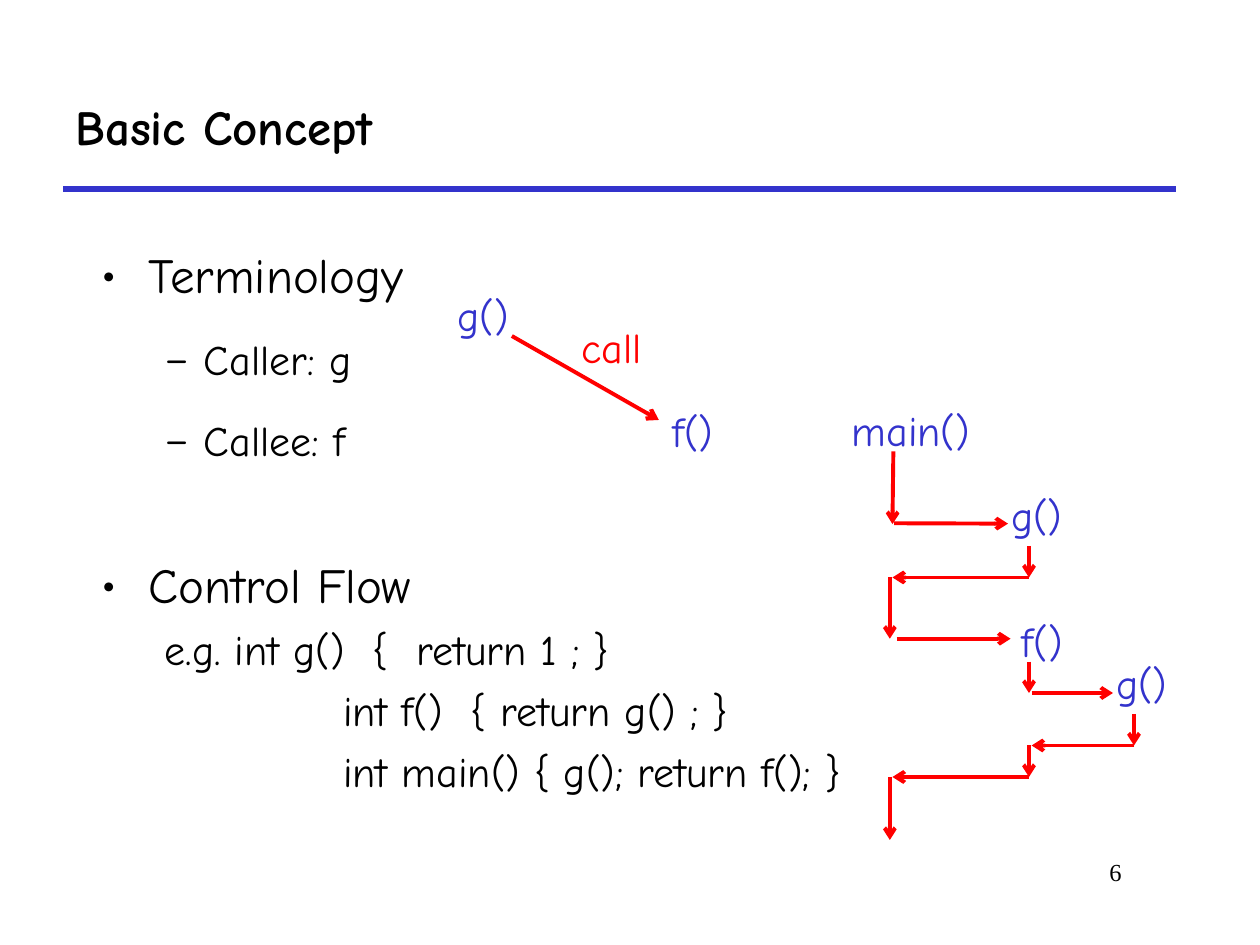
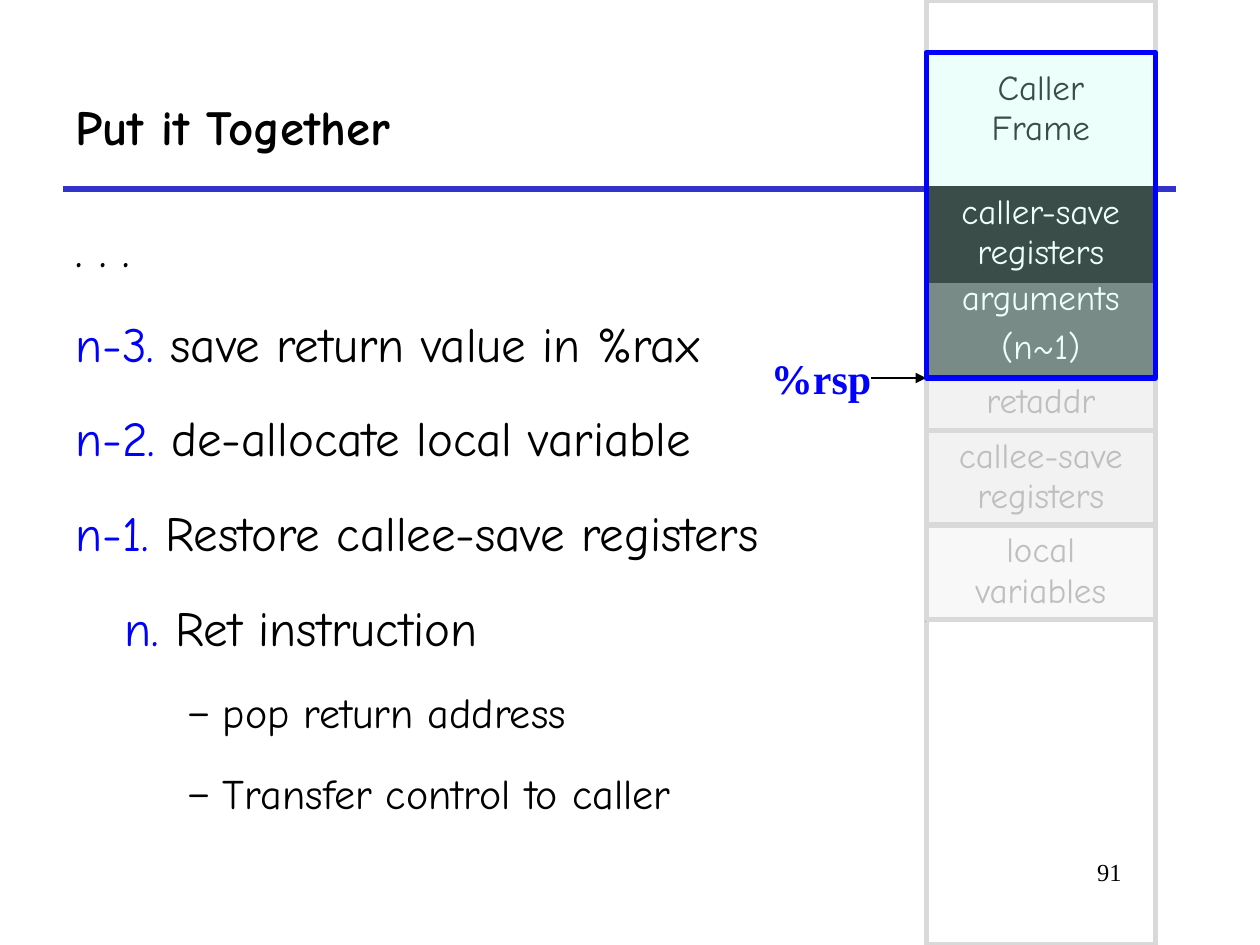
from dataclasses import dataclass
from typing import Optional

from lxml import etree
from pptx import Presentation
from pptx import slide as s
from pptx import util as u
from pptx.dml import color as c
from pptx.enum import shapes, text
from pptx.oxml import ns

COMIC, TIMES = "Comic Neue", "Times New Roman"
BLACK, WHITE, RED, BLUE, INDIGO = "000000", "FFFFFF", "FF0000", "0000FF", "3333CC"
SILVER, GRAY, PALE = "D9D9D9", "BFBFBF", "F2F2F2"
CENTER, LEFT, RIGHT = text.PP_ALIGN.CENTER, text.PP_ALIGN.LEFT, text.PP_ALIGN.RIGHT
STACK_LEFT, STACK_WIDTH = 529.25, 131


@dataclass
class Label:
    words: str
    left: float
    top: float
    width: float
    height: float = 36
    color: str = INDIGO
    size: float = 24
    font: str = COMIC
    bold: bool = False
    align: text.PP_ALIGN = CENTER
    anchor: text.MSO_ANCHOR = text.MSO_ANCHOR.TOP


@dataclass
class Item:
    words: str
    number: str = ""
    size: float = 28
    bullet: str = ""
    margin: float = 0
    indent: float = 0
    before: float = 7
    spacing: float = 1.4


@dataclass
class Arrow:
    x1: float
    y1: float
    x2: float
    y2: float
    color: str = RED
    weight: float = 2.25
    head: str = "arrow"


@dataclass
class StackCell:
    words: list[str]
    top: float
    height: float
    color: str
    fill: Optional[str] = None
    opacity: int = 100
    margin_top: float = 3.6


@dataclass
class Outline:
    top: float
    height: float
    color: str = SILVER
    fill: Optional[str] = None
    opacity: int = 100


def rgb(color: str) -> c.RGBColor:
    return c.RGBColor.from_string(color)


def add_child(parent, tag: str, **attributes: str):
    child = etree.SubElement(parent, ns.qn(tag))
    for name, value in attributes.items():
        child.set(name, value)
    return child


def set_fill(fill, properties, color: Optional[str], opacity: int) -> None:
    if color is None:
        fill.background()
        return
    fill.solid()
    fill.fore_color.rgb = rgb(color)
    if opacity < 100:
        add_child(next(properties.iter(ns.qn("a:srgbClr"))), "a:alpha", val=str(opacity * 1000))


def style_font(paragraph, size: float, color: Optional[str], font: str = COMIC,
               bold: bool = False) -> None:
    paragraph.font.size = u.Pt(size)
    paragraph.font.name = font
    paragraph.font.bold = bold
    if color:
        paragraph.font.color.rgb = rgb(color)


def add_label(slide: s.Slide, label: Label) -> None:
    box = slide.shapes.add_textbox(
        u.Pt(label.left), u.Pt(label.top), u.Pt(label.width), u.Pt(label.height))
    frame = box.text_frame
    frame.word_wrap = True
    frame.vertical_anchor = label.anchor
    paragraph = frame.paragraphs[0]
    paragraph.text = label.words
    paragraph.alignment = label.align
    style_font(paragraph, label.size, label.color, label.font, label.bold)


def add_line(slide: s.Slide, line: Arrow) -> None:
    connector = slide.shapes.add_connector(
        shapes.MSO_CONNECTOR.STRAIGHT,
        u.Pt(line.x1), u.Pt(line.y1), u.Pt(line.x2), u.Pt(line.y2))
    connector.line.color.rgb = rgb(line.color)
    connector.line.width = u.Pt(line.weight)
    properties = connector._element.spPr
    if line.head:
        add_child(properties.find(ns.qn("a:ln")), "a:tailEnd", type=line.head)
    add_child(properties, "a:effectLst")


def add_body(slide: s.Slide, left: float, top: float, width: float, height: float,
             items: list[Item]) -> None:
    box = slide.shapes.add_textbox(u.Pt(left), u.Pt(top), u.Pt(width), u.Pt(height))
    frame = box.text_frame
    frame.word_wrap = True
    for index, item in enumerate(items):
        paragraph = frame.add_paragraph() if index else frame.paragraphs[0]
        properties = paragraph._p.get_or_add_pPr()
        properties.set("marL", str(u.Pt(item.margin)))
        properties.set("indent", str(u.Pt(item.indent)))
        if item.bullet:
            add_child(add_child(properties, "a:buClr"), "a:srgbClr", val=BLACK)
            add_child(properties, "a:buFont", typeface=COMIC)
            add_child(properties, "a:buChar", char=item.bullet)
        else:
            add_child(properties, "a:buNone")
        paragraph.line_spacing = item.spacing
        if index:
            paragraph.space_before = u.Pt(item.before)
        style_font(paragraph, item.size, None if item.number else BLACK)
        for words, color in ((item.number, BLUE), (item.words, BLACK)):
            if words:
                run = paragraph.add_run()
                run.text = words
                if item.number:
                    run.font.color.rgb = rgb(color)


def add_stack_cell(slide: s.Slide, entry: StackCell) -> None:
    table = slide.shapes.add_table(
        1, 1, u.Pt(STACK_LEFT), u.Pt(entry.top), u.Pt(STACK_WIDTH), u.Pt(entry.height)).table
    table.first_row = table.horz_banding = False
    cell = table.cell(0, 0)
    cell.margin_top = u.Pt(entry.margin_top)
    properties = cell._tc.get_or_add_tcPr()
    set_fill(cell.fill, properties, entry.fill, entry.opacity)
    for position, side in enumerate(("a:lnL", "a:lnR", "a:lnT", "a:lnB")):
        border = add_child(properties, side, w=str(u.Pt(1.08)))
        if position < 2:
            add_child(add_child(border, "a:solidFill"), "a:srgbClr", val=BLACK)
        else:
            add_child(border, "a:noFill")
        properties.insert(position, border)
    frame = cell.text_frame
    for index, words in enumerate(entry.words):
        paragraph = frame.add_paragraph() if index else frame.paragraphs[0]
        paragraph.text = words
        paragraph.alignment = CENTER
        if index:
            paragraph.space_before = u.Pt(5)
        style_font(paragraph, 20, entry.color)


def add_outline(slide: s.Slide, outline: Outline) -> None:
    shape = slide.shapes.add_shape(
        shapes.MSO_SHAPE.RECTANGLE, u.Pt(STACK_LEFT), u.Pt(outline.top), u.Pt(STACK_WIDTH),
        u.Pt(outline.height))
    shape.shadow.inherit = False
    set_fill(shape.fill, shape._element.spPr, outline.fill, outline.opacity)
    shape.line.color.rgb = rgb(outline.color)
    shape.line.width = u.Pt(3)


def start_slide(presentation, title: str, number: str) -> s.Slide:
    slide = presentation.slides.add_slide(presentation.slide_layouts[6])
    add_line(slide, Arrow(36, 108, 672, 108, INDIGO, 3, ""))
    add_label(slide, Label(number, 546, 486, 102, color=BLACK, size=14, font=TIMES, align=RIGHT))
    add_label(slide, Label(title, 36, 36, 636, 72, BLACK, 28, bold=True, align=LEFT,
                           anchor=text.MSO_ANCHOR.MIDDLE))
    return slide


def dash(words: str, margin: float, indent: float) -> Item:
    return Item(words, size=24, bullet="–", margin=margin, indent=indent, before=6)


def code(words: str, margin: float, indent: float = 0) -> Item:
    return Item(words, size=24, margin=margin, indent=indent, before=6, spacing=1)


def build_concept(presentation) -> None:
    slide = start_slide(presentation, "Basic Concept", "6")
    add_body(slide, 51, 122.5, 642, 366, [
        Item("Terminology", bullet="•", margin=27, indent=-27),
        dash("Caller: g", 58.5, -22.5),
        dash("Callee: f", 58.5, -22.5),
        Item("Control Flow", bullet="•", margin=27, indent=-27, before=37.5),
        code("e.g. int g()  {  return 1 ; }", 58.5, -22.5),
        code("int f()  { return g() ; }", 138),
        code("int main() { g(); return f(); }", 138),
    ])
    for label in (
        Label("g()", 252, 162, 48),
        Label("f()", 372, 228, 48),
        Label("call", 310.5, 180, 78, color=RED),
        Label("main()", 469.5, 227.5, 102),
        Label("g()", 567, 276, 51),
        Label("f()", 570, 348, 51),
        Label("g()", 627, 372, 51),
    ):
        add_label(slide, label)
    main_x, callee_x, nested_x = 508.5, 588, 648
    for arrow in (
        Arrow(292.5, 192, 376.5, 240),
        Arrow(510.5, 258, 510, 299.5),
        Arrow(511, 299, 576, 299.25),
        Arrow(callee_x, 312, callee_x, 330),
        Arrow(callee_x, 330, 510, 330),
        Arrow(main_x, 330, main_x, 365),
        Arrow(512.5, 365, 577.5, 365),
        Arrow(callee_x, 378, callee_x, 396),
        Arrow(589.5, 396, 636, 396),
        Arrow(nested_x, 408, nested_x, 426),
        Arrow(nested_x, 426, 589.5, 426),
        Arrow(callee_x, 426, callee_x, 444),
        Arrow(callee_x, 444, 510, 444),
        Arrow(main_x, 444, main_x, 480),
    ):
        add_line(slide, arrow)


def build_together(presentation) -> None:
    slide = start_slide(presentation, "Put it Together", "91")
    add_outline(slide, Outline(0, 540))
    add_body(slide, 36, 108, 684, 402, [
        Item(". . ."),
        Item("save return value in %rax", "n-3. "),
        Item("de-allocate local variable", "n-2. "),
        Item("Restore callee-save registers", "n-1. "),
        Item("Ret instruction", "n. ", margin=28),
        dash("pop return address", 84.25, -21),
        dash("Transfer control to caller", 84.25, -21),
    ])
    for entry in (
        StackCell(["arguments", "(n~1)"], 156, 60, WHITE, "595959"),
        StackCell(["caller-save registers"], 106.5, 55.5, WHITE, BLACK),
        StackCell(["retaddr"], 214.5, 31, GRAY, PALE),
        StackCell(["Caller\vFrame"], 30, 216, BLACK, margin_top=9.5),
        StackCell(["callee-save registers"], 246, 55.5, GRAY, PALE),
        StackCell(["local variables"], 300, 55.5, GRAY, GRAY, 10),
    ):
        add_stack_cell(slide, entry)
    add_label(slide, Label("%rsp", 433.5, 198, 80, color=BLUE, font=TIMES, bold=True, align=LEFT))
    add_line(slide, Arrow(498, 216, STACK_LEFT, 216, BLACK, 0.75, "triangle"))
    for outline in (
        Outline(300, 54),
        Outline(246, 54),
        Outline(216, 30),
        Outline(30, 186, BLUE, "C2FFF0", 30),
    ):
        add_outline(slide, outline)


def main() -> None:
    presentation = Presentation()
    presentation.slide_width, presentation.slide_height = u.Pt(720), u.Pt(540)
    build_concept(presentation)
    build_together(presentation)
    presentation.save("out.pptx")


if __name__ == "__main__":
    main()
